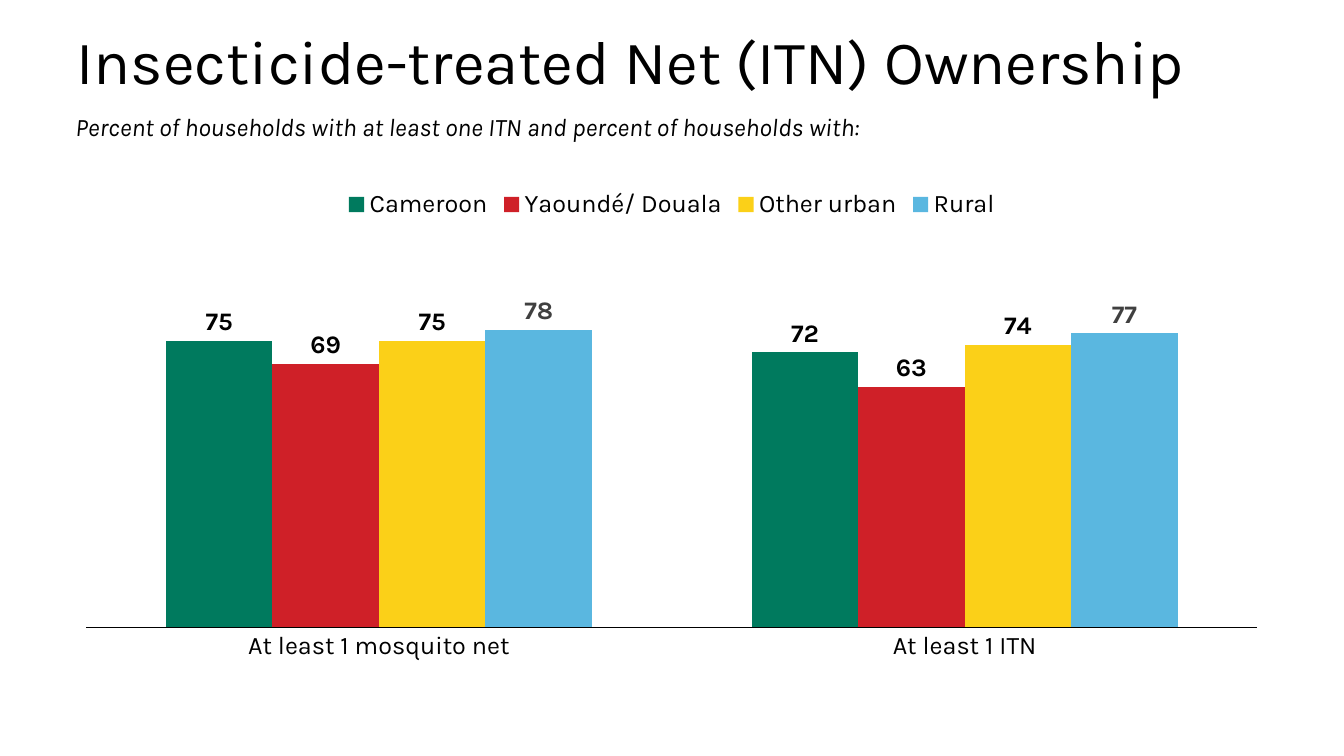
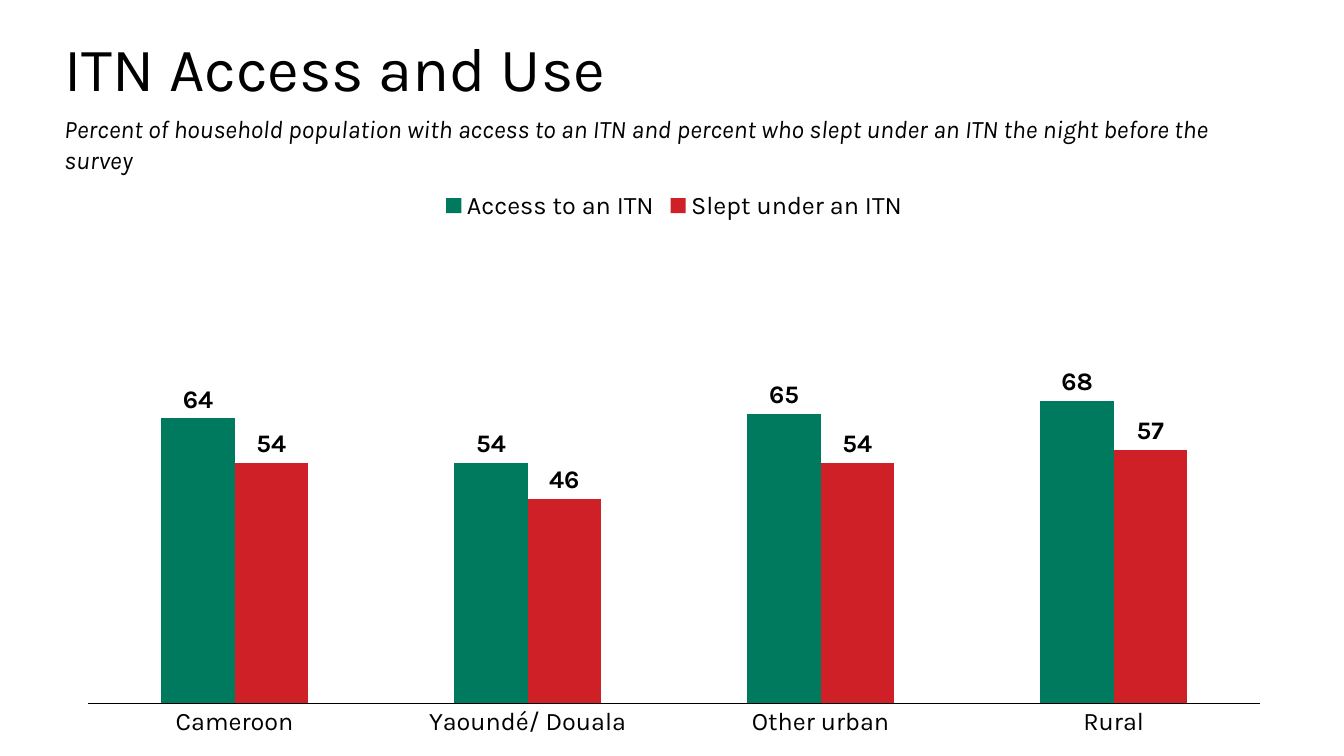
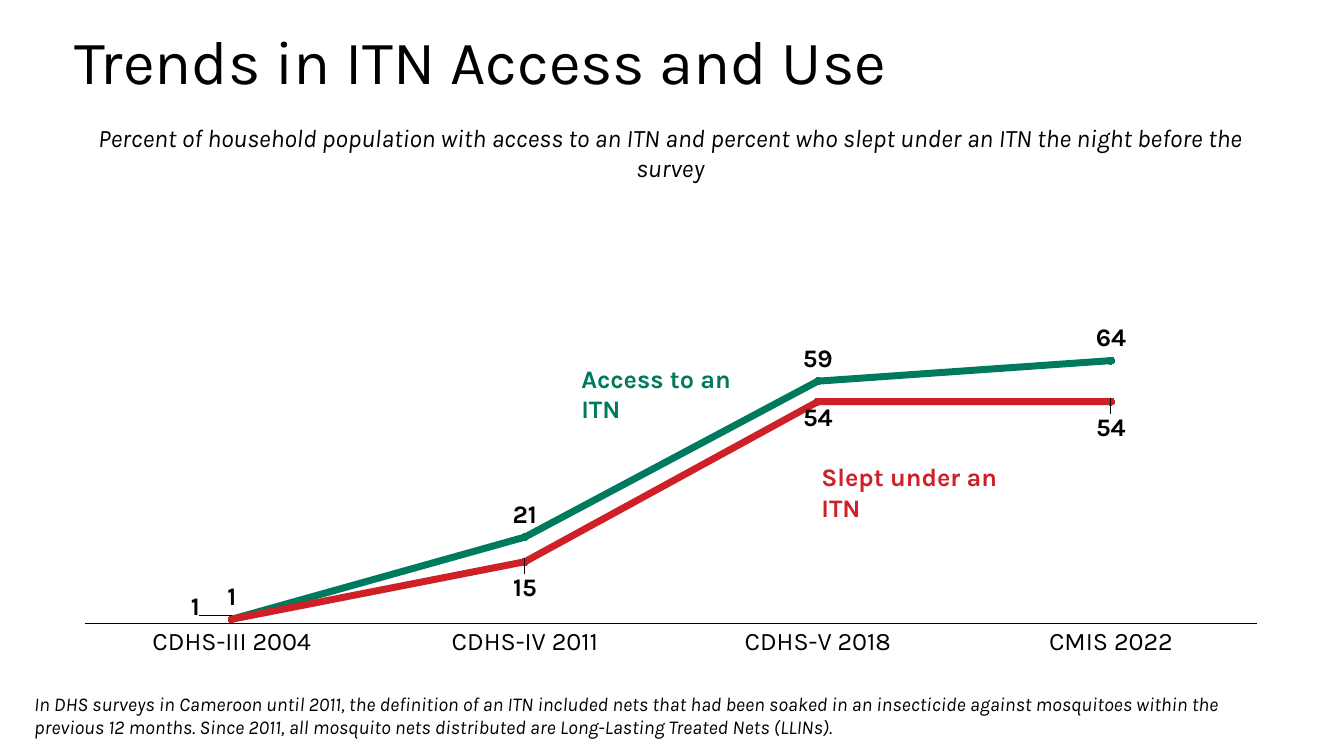
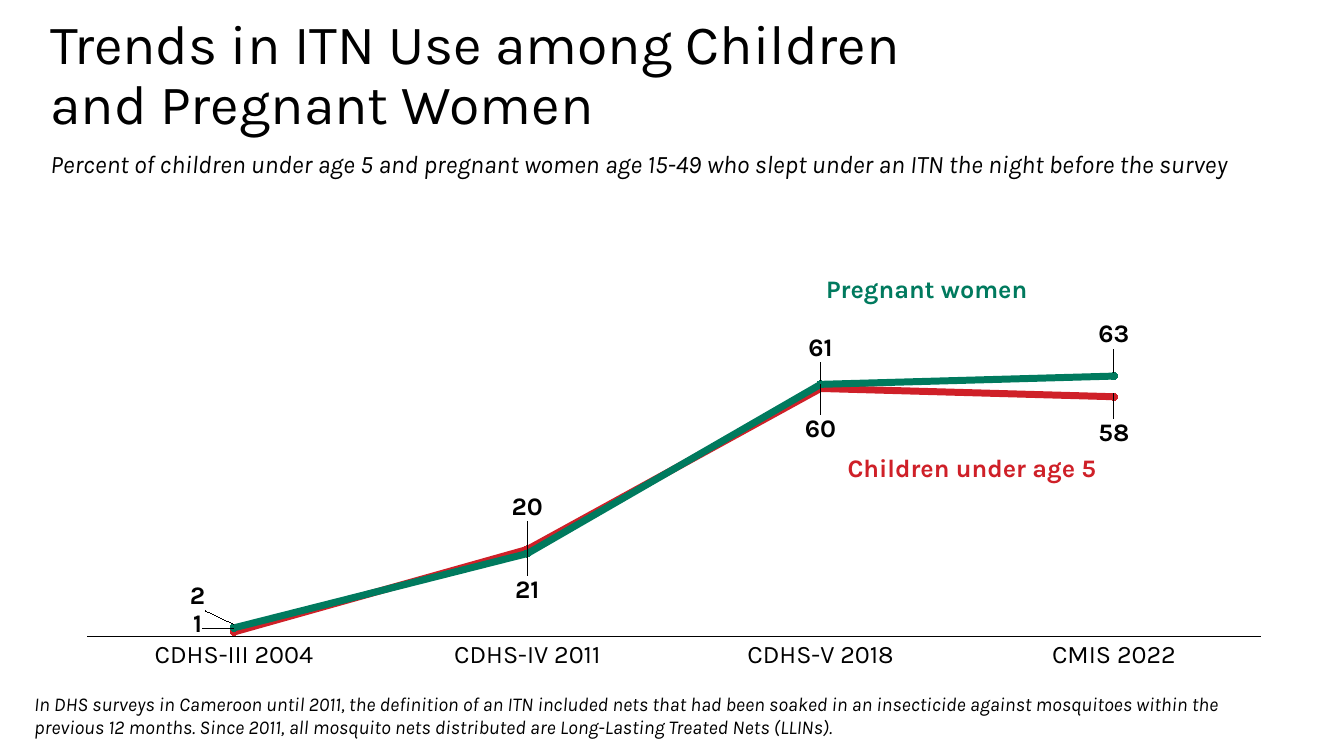
from dataclasses import dataclass
from typing import Optional

from pptx import Presentation
from pptx import util as u
from pptx.chart.data import CategoryChartData
from pptx.dml.color import RGBColor
from pptx.enum import chart as ch
from pptx.enum import text as t
from pptx.oxml import ns, parse_xml

FONT = "Karla"
COLOURS = {
    "ink": "000000",
    "grey": "404040",
    "green": "007A5E",
    "red": "CF2028",
    "yellow": "FBD018",
    "blue": "5AB7E0",
}
BODY_SIZE, NOTE_SIZE = 18, 14
LINE_HEIGHT = 1.02
AREAS = ("Cameroon", "Yaoundé/ Douala", "Other urban", "Rural")
SURVEYS = ("CDHS-III 2004", "CDHS-IV 2011", "CDHS-V 2018", "CMIS 2022")
ACCESS_AND_USE = (
    "Percent of household population with access to an ITN and percent "
    "who slept under an ITN the night before the survey"
)
DEFINITION = (
    "In DHS surveys in Cameroon until 2011, the definition of an ITN included nets "
    "that had been soaked in an insecticide against mosquitoes within the previous "
    "12 months. Since 2011, all mosquito nets distributed are Long-Lasting Treated "
    "Nets (LLINs)."
)


@dataclass(frozen=True)
class Box:
    """A place on the page, in centimetres."""
    left: float
    top: float
    width: float
    height: float = LINE_HEIGHT

    def emu(self) -> tuple:
        return tuple(u.Cm(n) for n in (self.left, self.top, self.width, self.height))


@dataclass(frozen=True)
class Label:
    """Text with its place and look; a line break in it stays a line break."""
    words: str
    box: Box
    size: float = BODY_SIZE
    colour: str = "ink"
    bold: bool = False
    italic: bool = False
    centred: bool = False


@dataclass(frozen=True)
class Series:
    name: str
    values: tuple
    colour: str
    label_colour: str = "ink"
    shifts: tuple = ()  # label offsets as fractions of the chart's size


@dataclass(frozen=True)
class Graph:
    box: Box
    categories: tuple
    series: tuple
    gap: Optional[int] = None  # gap width of columns; None draws lines


@dataclass(frozen=True)
class Page:
    title: Label
    labels: tuple
    graph: Graph


def title(words: str, box: Box, size: float = 44) -> Label:
    return Label(words, box, size)


def subtitle(words: str, box: Box, centred: bool = False) -> Label:
    return Label(words, box, italic=True, centred=centred)


def line_name(words: str, box: Box, colour: str) -> Label:
    return Label(words, box, colour=colour, bold=True)


NOTE = Label(DEFINITION, Box(0.61, 17.3, 31.55, 1.45), NOTE_SIZE, italic=True)

PAGES = (
    Page(
        title("Insecticide-treated Net (ITN) Ownership", Box(1.68, 0.15, 30.53, 2.95)),
        (subtitle(
            "Percent of households with at least one ITN and percent of households with:",
            Box(1.65, 2.67, 30.53)),),
        Graph(
            Box(1.65, 4.47, 30.56, 12.47),
            ("At least 1 mosquito net", "At least 1 ITN"),
            (
                Series(AREAS[0], (75, 72), "green"),
                Series(AREAS[1], (69, 63), "red"),
                Series(AREAS[2], (75, 74), "yellow"),
                Series(AREAS[3], (78, 77), "blue", "grey"),
            ),
            gap=150,
        ),
    ),
    Page(
        title("ITN Access and Use", Box(1.37, 0.61, 30.58, 2.41)),
        (subtitle(ACCESS_AND_USE, Box(1.37, 2.74, 31.04)),),
        Graph(
            Box(1.7, 4.5, 30.58, 14.55),
            AREAS,
            (
                Series("Access to an ITN", (64, 54, 65, 68), "green"),
                Series("Slept under an ITN", (54, 46, 54, 57), "red"),
            ),
            gap=200,
        ),
    ),
    Page(
        title("Trends in ITN Access and Use", Box(1.63, 0.15, 30.58, 2.95)),
        (
            subtitle(ACCESS_AND_USE, Box(1.37, 2.95, 31.04), centred=True),
            line_name("Access to an ITN", Box(14.4, 9.02, 5.08), "green"),
            line_name("Slept under an ITN", Box(20.45, 11.51, 5.79), "red"),
            NOTE,
        ),
        Graph(
            Box(1.63, 4.72, 30.58, 12.17),
            SURVEYS,
            (
                Series("Access to an ITN", (1, 21, 59, 64), "green"),
                Series("Slept under an ITN", (1, 15, 54, 54), "red",
                       shifts=((-0.03, 0.02), (0, 0.1), (0, 0.08), (0, 0.1))),
            ),
        ),
    ),
    Page(
        title("Trends in ITN Use among Children \nand Pregnant Women",
              Box(1.02, 0.46, 30.61, 2.95), 39.6),
        (
            subtitle(
                "Percent of children under age 5 and pregnant women age 15-49 "
                "who slept under an ITN the night before the survey",
                Box(1.02, 3.61, 30.61)),
            line_name("Pregnant women", Box(20.57, 6.76, 6.96), "green"),
            line_name("Children under age 5", Box(21.11, 11.28, 7.65), "red"),
            NOTE,
        ),
        Graph(
            Box(1.68, 4.98, 30.61, 12.24),
            SURVEYS,
            (
                Series("Children under age 5", (1, 21, 60, 58), "red",
                       shifts=((-0.03, 0.03), (0, 0.13), (0, 0.13), (0, 0.12))),
                Series("Pregnant women", (2, 20, 61, 63), "green",
                       shifts=((-0.03, -0.02), (0, -0.05), (0, -0.03), (0, -0.04))),
            ),
        ),
    ),
)


def rgb(colour: str) -> RGBColor:
    return RGBColor.from_string(COLOURS[colour])


def style_font(font, size: float, colour: str = "ink",
               bold: bool = False, italic: bool = False) -> None:
    font.name = FONT
    font.size = u.Pt(size)
    font.bold = bold
    font.italic = italic
    font.color.rgb = rgb(colour)


def add_label(page, label: Label, line_spacing: float = 1.0,
              anchor=t.MSO_ANCHOR.TOP) -> None:
    frame = page.shapes.add_textbox(*label.box.emu()).text_frame
    frame.word_wrap = True
    frame.vertical_anchor = anchor
    para = frame.paragraphs[0]
    para.line_spacing = line_spacing
    para.alignment = t.PP_ALIGN.CENTER if label.centred else t.PP_ALIGN.LEFT
    for number, line in enumerate(label.words.split("\n")):
        if number:
            para.add_line_break()
        span = para.add_run()
        span.text = line
        style_font(span.font, label.size, label.colour, label.bold, label.italic)


def manual_layout(x: float, y: float, size: Optional[tuple] = None):
    """Chart layout: an inner plot area if a size is given, else a label offset."""
    parts = [("x", x), ("y", y)]
    if size:
        parts = [("layoutTarget", "inner"), ("xMode", "edge"), ("yMode", "edge"),
                 *parts, ("w", size[0]), ("h", size[1])]
    inside = "".join(f'<c:{tag} val="{value}"/>' for tag, value in parts)
    return parse_xml(f'<c:layout {ns.nsdecls("c")}><c:manualLayout>{inside}'
                     "</c:manualLayout></c:layout>")


def place_plot(chart, y: float, height: float) -> None:
    area = chart.plots[0]._element.getparent()
    for old in area.findall(ns.qn("c:layout")):
        area.remove(old)
    area.insert(0, manual_layout(0.017, y, (0.966, height)))


def shift_labels(drawn, series: Series) -> None:
    for number, _ in enumerate(series.shifts):
        label = drawn.points[number].data_label
        style_font(label.font, BODY_SIZE, series.label_colour, bold=True)
        label.position = ch.XL_LABEL_POSITION.ABOVE
    for element, shift in zip(drawn._element.iter(ns.qn("c:dLbl")), series.shifts):
        element.find(ns.qn("c:idx")).addnext(manual_layout(*shift))


def style_series(drawn, series: Series, columns: bool) -> None:
    colour = rgb(series.colour)
    labels = drawn.data_labels
    labels.show_value = True
    style_font(labels.font, BODY_SIZE, series.label_colour, bold=True)
    if columns:
        drawn.format.fill.solid()
        drawn.format.fill.fore_color.rgb = colour
        labels.position = ch.XL_LABEL_POSITION.OUTSIDE_END
        return
    drawn.smooth = False
    drawn.format.line.width = u.Pt(5)
    drawn.format.line.color.rgb = colour
    drawn.marker.style = ch.XL_MARKER_STYLE.CIRCLE
    drawn.marker.size = 5
    drawn.marker.format.fill.solid()
    drawn.marker.format.fill.fore_color.rgb = colour
    drawn.marker.format.line.color.rgb = colour
    labels.position = ch.XL_LABEL_POSITION.ABOVE
    shift_labels(drawn, series)


def style_axes(chart) -> None:
    values = chart.value_axis
    values.minimum_scale, values.maximum_scale = 0, 100
    values.has_major_gridlines = False
    values.visible = False
    categories = chart.category_axis
    categories.major_tick_mark = ch.XL_TICK_MARK.NONE
    categories.format.line.color.rgb = rgb("ink")
    categories.format.line.width = u.Pt(0.75)
    style_font(categories.tick_labels.font, BODY_SIZE)


def add_graph(page, graph: Graph) -> None:
    columns = graph.gap is not None
    data = CategoryChartData()
    data.categories = graph.categories
    for series in graph.series:
        data.add_series(series.name, series.values)
    kind = ch.XL_CHART_TYPE.COLUMN_CLUSTERED if columns else ch.XL_CHART_TYPE.LINE_MARKERS
    chart = page.shapes.add_chart(kind, *graph.box.emu(), data).chart
    chart.has_title = False
    style_font(chart.font, 10)
    style_axes(chart)
    plot = chart.plots[0]
    plot.vary_by_categories = False
    chart.has_legend = columns
    if columns:
        plot.gap_width, plot.overlap = graph.gap, 0
        chart.legend.position = ch.XL_LEGEND_POSITION.TOP
        chart.legend.include_in_layout = False
        style_font(chart.legend.font, BODY_SIZE)
        place_plot(chart, 0.138, 0.771)
    else:
        place_plot(chart, 0.053, 0.85)
    for drawn, series in zip(plot.series, graph.series):
        style_series(drawn, series, columns)


def main() -> None:
    deck = Presentation()
    deck.slide_width, deck.slide_height = u.Cm(33.87), u.Cm(19.05)
    blank = deck.slide_layouts[6]
    for content in PAGES:
        page = deck.slides.add_slide(blank)
        add_label(page, content.title, 0.9, t.MSO_ANCHOR.MIDDLE)
        add_graph(page, content.graph)
        for label in content.labels:
            add_label(page, label)
    deck.save("out.pptx")


if __name__ == "__main__":
    main()
